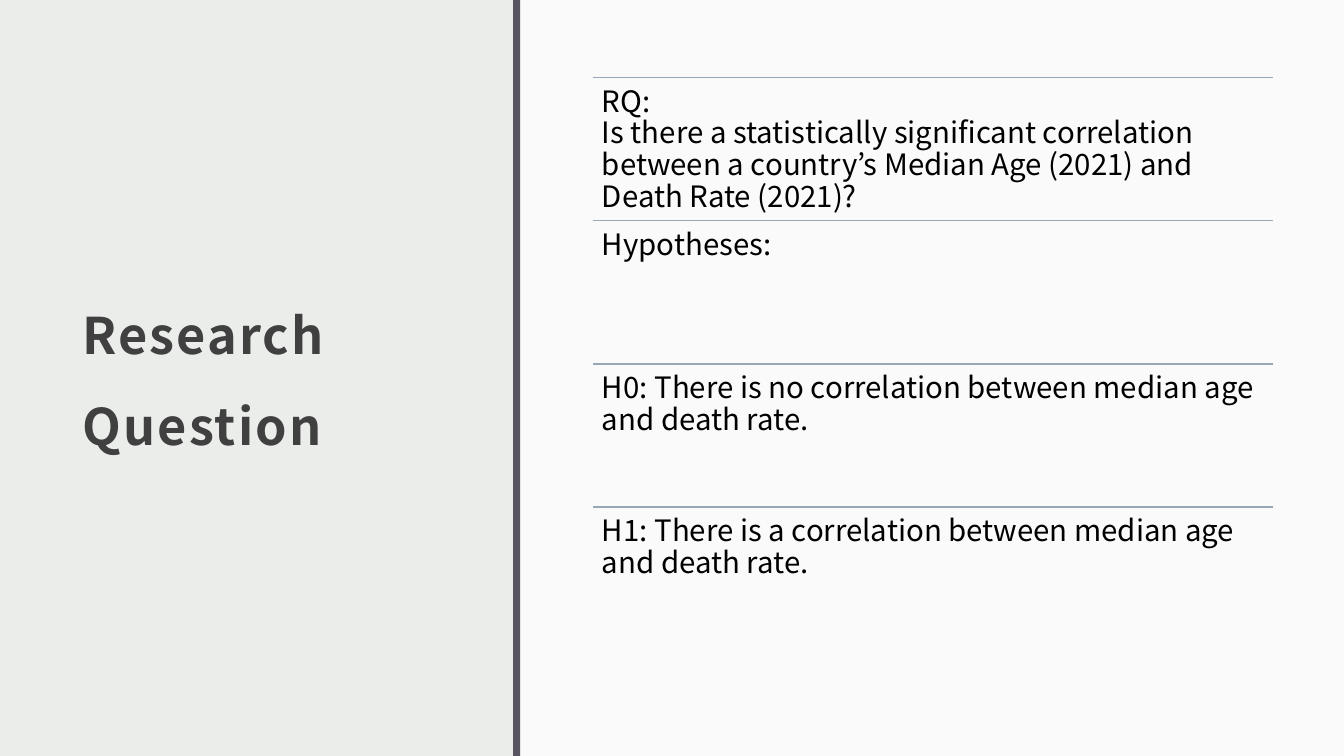
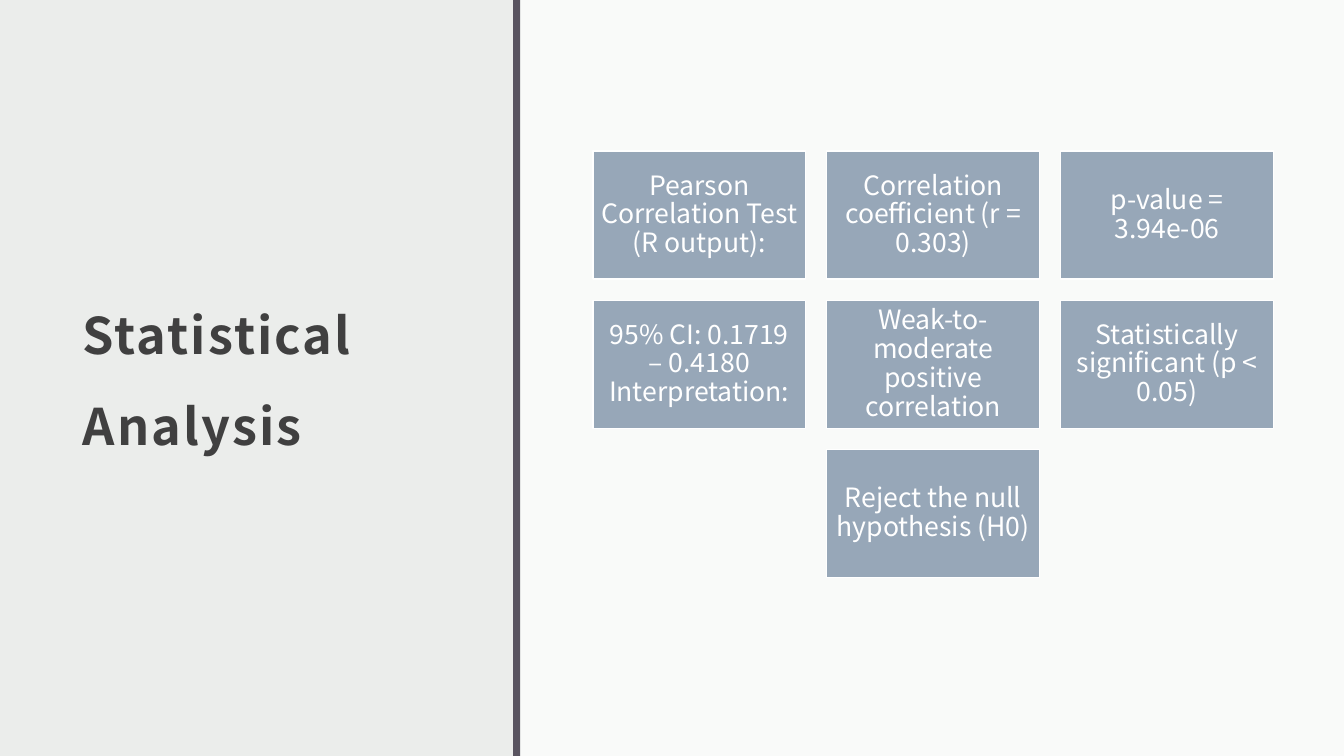
from lxml import etree
from pptx import Presentation
from pptx.dml.color import RGBColor
from pptx.enum.shapes import MSO_CONNECTOR, MSO_SHAPE
from pptx.enum.text import MSO_ANCHOR, PP_ALIGN
from pptx.oxml.ns import qn
from pptx.util import Inches, Pt

RECTANGLE = MSO_SHAPE.RECTANGLE
STRAIGHT = MSO_CONNECTOR.STRAIGHT
TOP, MIDDLE = MSO_ANCHOR.TOP, MSO_ANCHOR.MIDDLE
LEFT, CENTER = PP_ALIGN.LEFT, PP_ALIGN.CENTER
color = RGBColor.from_string

FONT = "Noto Sans CJK JP"
BACKGROUND, PANEL, DIVIDER = "EBEDEB", "FFFFFF", "595460"
TITLE, BODY, ACCENT, WHITE = "404040", "000000", "97A7B8", "FFFFFF"
CONTENT_LEFT, CONTENT_TOP, CONTENT_WIDTH = 5.88, 0.77, 6.75


def add_rectangle(page, left, top, width, height, fill):
    shape = page.shapes.add_shape(
        RECTANGLE, Inches(left), Inches(top), Inches(width), Inches(height))
    shape.shadow.inherit = False
    shape.fill.solid()
    shape.fill.fore_color.rgb = color(fill)
    shape.line.fill.background()
    return shape


def write(box, text, size, ink, inset, anchor=TOP, align=LEFT, spacing=0.9):
    frame = box.text_frame
    frame.word_wrap = True
    frame.vertical_anchor = anchor
    frame.margin_left = frame.margin_right = Inches(inset)
    frame.margin_top = frame.margin_bottom = Inches(inset)
    para = frame.paragraphs[0]
    para.alignment = align
    para.line_spacing = spacing
    for index, line in enumerate(text.split("\n")):
        if index:
            para.add_line_break()
        span = para.add_run()
        span.text = line
        span.font.name = FONT
        span.font.size = Pt(size)
        span.font.color.rgb = color(ink)
    return frame


deck = Presentation()
deck.slide_width, deck.slide_height = Inches(13.33), Inches(7.5)

pages = []
for title in ["Research Question", "Statistical Analysis"]:
    page = deck.slides.add_slide(deck.slide_layouts[6])
    page.background.fill.solid()
    page.background.fill.fore_color.rgb = color(BACKGROUND)

    panel = add_rectangle(page, 5.16, 0, 8.17, 7.5, PANEL)
    panel_color = panel.fill._xPr.find(qn("a:solidFill"))[0]
    etree.SubElement(panel_color, qn("a:alpha"), val="75000")
    add_rectangle(page, 5.09, 0, 0.07, 7.5, DIVIDER)

    title_box = page.shapes.add_textbox(
        Inches(0.7), Inches(0.77), Inches(3.73), Inches(5.68))
    frame = write(title_box, title, 36, TITLE, 0.12, MIDDLE, spacing=1.5)
    frame.margin_bottom = Inches(0.1)
    span = frame.paragraphs[0].runs[0]
    span.font.bold = True
    span.font._element.set("spc", "150")
    pages.append(page)

question_page, analysis_page = pages

statements = [
    "RQ:\nIs there a statistically significant correlation between "
    "a country’s Median Age (2021) and Death Rate (2021)?",
    "Hypotheses:",
    "H0: There is no correlation between median age and death rate.",
    "H1: There is a correlation between median age and death rate.",
]
row_height = 1.42
for row, statement in enumerate(statements):
    left, top = Inches(CONTENT_LEFT), Inches(CONTENT_TOP + row * row_height)
    width = Inches(CONTENT_WIDTH)
    rule = question_page.shapes.add_connector(STRAIGHT, left, top, left + width, top)
    rule.line.color.rgb = color(ACCENT)
    rule.line.width = Pt(1)
    etree.SubElement(rule._element.spPr, qn("a:effectLst"))
    box = question_page.shapes.add_textbox(left, top, width, Inches(row_height))
    write(box, statement, 21, BODY, 0.09)

findings = [
    ["Pearson Correlation Test (R output):",
     "Correlation coefficient (r = 0.303)",
     "p-value = 3.94e-06"],
    ["95% CI: 0.1719 – 0.4180\nInterpretation:",
     "Weak-to-moderate positive correlation",
     "Statistically significant (p < 0.05)"],
    ["Reject the null hypothesis (H0)"],
]
tile_width, tile_height, gap = 2.11, 1.27, 0.21
for row, texts in enumerate(findings):
    row_width = len(texts) * (tile_width + gap) - gap
    row_left = CONTENT_LEFT + (CONTENT_WIDTH - row_width) / 2
    for column, text in enumerate(texts):
        tile = add_rectangle(
            analysis_page,
            row_left + column * (tile_width + gap),
            1.5 + row * (tile_height + gap),
            tile_width, tile_height, ACCENT)
        tile.line.color.rgb = color(WHITE)
        tile.line.width = Pt(1)
        write(tile, text, 19, WHITE, 0.08, MIDDLE, CENTER)

deck.save("out.pptx")
